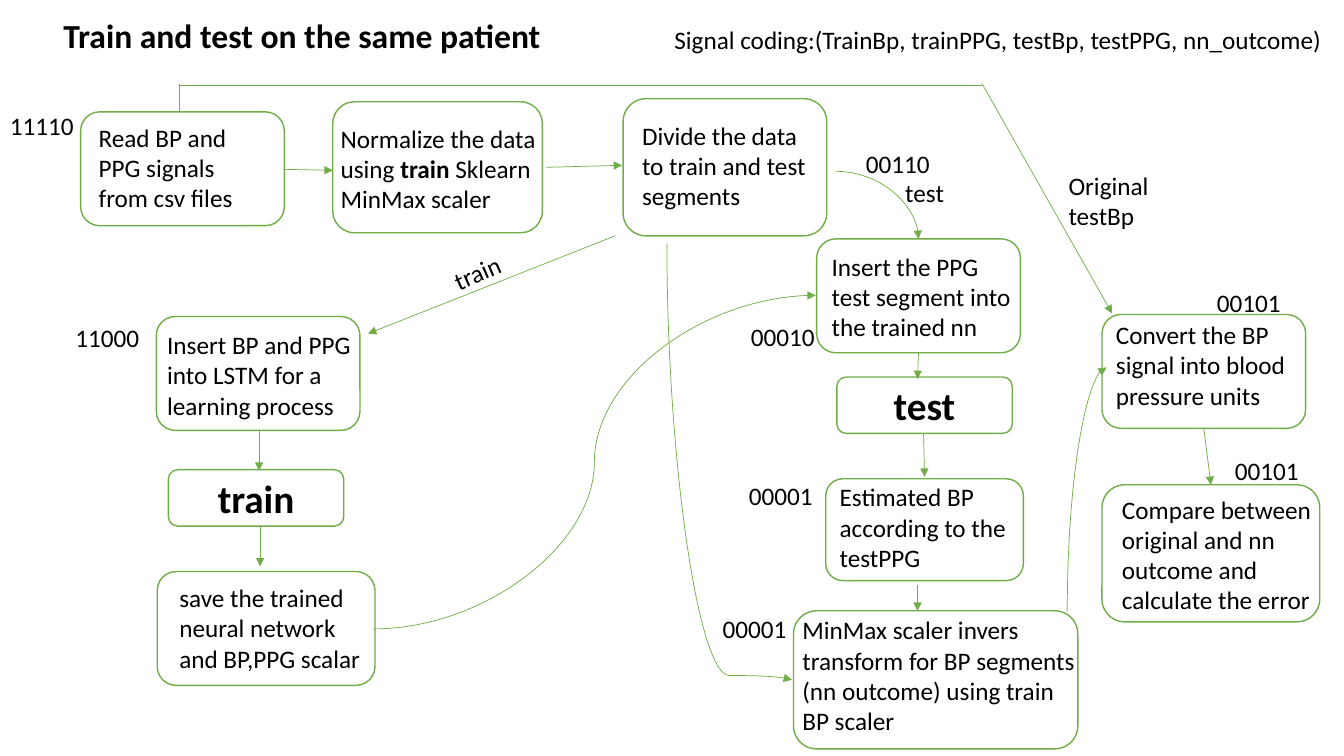
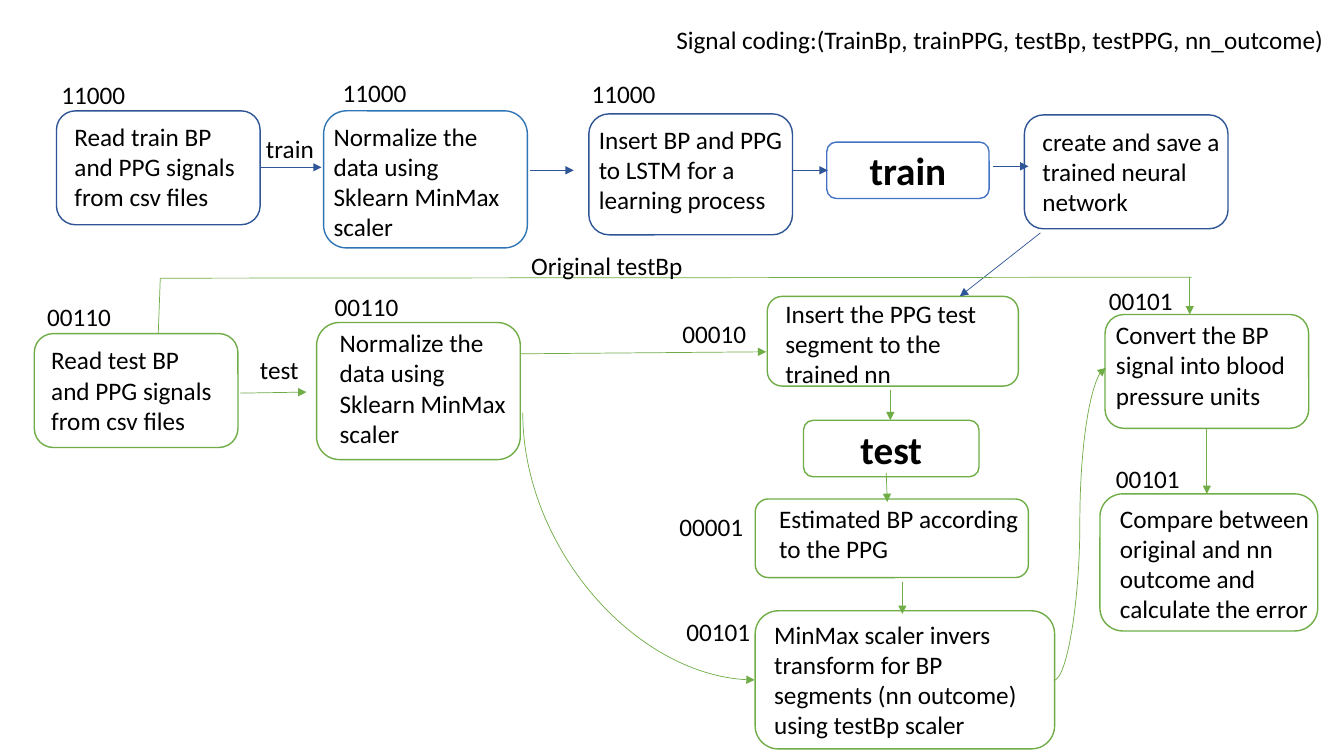
from lxml import etree
from pptx import Presentation
from pptx.dml.color import RGBColor
from pptx.enum.shapes import MSO_CONNECTOR as LINK, MSO_SHAPE
from pptx.enum.text import MSO_ANCHOR, MSO_AUTO_SIZE, PP_ALIGN
from pptx.oxml.ns import qn
from pptx.util import Inches, Pt

GREEN = RGBColor(0x70, 0xAD, 0x47)
NAVY = RGBColor(0x2F, 0x55, 0x97)
BLUE = RGBColor(0x2E, 0x75, 0xB6)
ROYAL = RGBColor(0x44, 0x72, 0xC4)
WHITE = RGBColor(0xFF, 0xFF, 0xFF)
BLACK = RGBColor(0, 0, 0)
FONT = "Calibri"
STEP_W, STEP_H, TALL_H = 2.02, 1.13, 1.36
PHASE_W, PHASE_H = 1.74, 0.56
CODING = "Signal coding:(TrainBp, trainPPG, testBp, testPPG, nn_outcome)"


def add_run(paragraph, text, size=18, bold=False):
    run = paragraph.add_run()
    run.text = text
    run.font.name = FONT
    run.font.size = Pt(size)
    run.font.bold = bold
    run.font.color.rgb = BLACK


def add_label(slide, x, y, w, text, lines=1, size=18, bold=False, wrap=True, turn=0):
    height = 0.1 + lines * size / 59.5
    label = slide.shapes.add_textbox(Inches(x), Inches(y), Inches(w), Inches(height))
    label.rotation = turn
    frame = label.text_frame
    frame.word_wrap = wrap
    frame.auto_size = MSO_AUTO_SIZE.SHAPE_TO_FIT_TEXT
    paragraphs = [text] if isinstance(text, str) else text
    for index, content in enumerate(paragraphs):
        paragraph = frame.add_paragraph() if index else frame.paragraphs[0]
        runs = [(content, bold)] if isinstance(content, str) else content
        for words, strong in runs:
            add_run(paragraph, words, size, strong)


def add_codes(slide, codes):
    for x, y, code in codes:
        add_label(slide, x, y, 0.84, code, wrap=False)


def add_box(slide, x, y, w, h, color):
    box = slide.shapes.add_shape(MSO_SHAPE.ROUNDED_RECTANGLE,
                                 Inches(x), Inches(y), Inches(w), Inches(h))
    box.shadow.inherit = False
    box.fill.solid()
    box.fill.fore_color.rgb = WHITE
    box.line.color.rgb = color
    box.line.width = Pt(1)
    return box


def add_step(slide, x, y, text, text_at, w=STEP_W, h=STEP_H, lines=3, color=GREEN):
    add_box(slide, x, y, w, h, color)
    add_label(slide, *text_at, text, lines)


def add_phase(slide, x, y, text, w=PHASE_W, color=GREEN):
    frame = add_box(slide, x, y, w, PHASE_H, color).text_frame
    frame.vertical_anchor = MSO_ANCHOR.MIDDLE
    frame.paragraphs[0].alignment = PP_ALIGN.CENTER
    add_run(frame.paragraphs[0], text, 28, True)


def add_link(slide, kind, x1, y1, x2, y2, color=GREEN, arrow=True):
    link = slide.shapes.add_connector(kind, Inches(x1), Inches(y1), Inches(x2), Inches(y2))
    link.line.color.rgb = color
    link.line.width = Pt(0.5)
    properties = link._element.spPr
    if arrow:
        etree.SubElement(properties.find(qn("a:ln")), qn("a:tailEnd"), type="triangle")
    etree.SubElement(properties, qn("a:effectLst"))
    return properties


def add_arrows(slide, arrows, color=GREEN):
    for ends in arrows:
        add_link(slide, LINK.STRAIGHT, *ends, color)


def add_lines(slide, lines):
    for ends in lines:
        add_link(slide, LINK.STRAIGHT, *ends, arrow=False)


def add_curve(slide, x, y, w, h, turn=0, flips="", bends=2, middle=None):
    properties = add_link(slide, LINK.CURVE, x, y, x + w, y + h)
    frame = properties.find(qn("a:xfrm"))
    frame.set("rot", str(turn * 60000))
    for axis in flips:
        frame.set("flip" + axis, "1")
    geometry = properties.find(qn("a:prstGeom"))
    geometry.set("prst", f"curvedConnector{bends}")
    if middle is not None:
        etree.SubElement(geometry.find(qn("a:avLst")), qn("a:gd"),
                         name="adj1", fmla=f"val {round(middle * 100000)}")


def add_evaluation(slide, convert_x, compare_x, compare_y):
    add_step(slide, convert_x, 3.12, "Convert the BP signal into blood pressure units",
             (10.97, 3.12, 1.98))
    add_step(slide, compare_x, compare_y,
             "Compare between original and nn outcome and calculate the error",
             (compare_x + 0.1, compare_y + 0.04, 2.17), 2.16, TALL_H, 4)


def build_same_patient(slide):
    add_label(slide, 0.53, 0.1, 5.07, "Train and test on the same patient", size=24, bold=True)
    add_label(slide, 6.59, 0.19, 6.88, CODING)

    add_step(slide, 0.8, 1.11, "Read BP and PPG signals from csv files", (0.88, 1.16, 1.64))
    add_step(slide, 3.3, 1.01,
             [[("Normalize the data using ", False), ("train ", True),
               ("Sklearn MinMax scaler", False)]],
             (3.28, 1.17, 2.15), 2.08, 1.3)
    add_step(slide, 6.18, 0.98, "Divide the data to train and test segments",
             (6.27, 1.14, 1.84), h=TALL_H)
    add_step(slide, 1.55, 3.14, "Insert BP and PPG into LSTM for a learning process",
             (1.56, 3.22, 2.02))
    add_phase(slide, 1.67, 4.66, "train")
    add_step(slide, 1.56, 5.67, "save the trained neural network and BP,PPG scalar",
             (1.68, 5.73, 2.02), 2.16)
    add_step(slide, 8.1, 2.37, "Insert the PPG test segment into the trained nn",
             (8.15, 2.44, 1.98))
    add_phase(slide, 8.3, 3.74, "test")
    add_step(slide, 8.19, 4.75, "Estimated BP according to the testPPG",
             (8.23, 4.73, 1.9), 1.96, 1.01)
    add_step(slide, 7.87, 6.06,
             ["MinMax scaler invers transform for BP segments (nn outcome) using train",
              "BP scaler"],
             (7.86, 6.05, 3.07), 2.82, 1.37, 4)
    add_evaluation(slide, 10.93, 10.93, 4.81)

    add_arrows(slide, [
        (2.82, 1.68, 3.3, 1.69), (5.42, 1.66, 6.17, 1.64), (6.1, 2.34, 3.65, 3.31),
        (2.57, 4.27, 2.57, 4.67), (2.58, 5.22, 2.58, 5.62),
        (9.11, 3.5, 9.1, 3.76), (9.16, 4.3, 9.17, 4.73), (9.1, 5.8, 9.1, 6.06),
        (9.74, 0.83, 11.03, 3.11), (11.94, 4.25, 12.01, 4.81)])
    add_lines(slide, [(1.78, 1.1, 1.78, 0.83), (1.78, 0.85, 9.74, 0.85)])
    add_curve(slide, 8.29, 1.7, 0.82, 0.67)
    add_curve(slide, 9.57, 4.66, 2.42, 0.39, 90, "HV")
    add_curve(slide, 3.7, 2.93, 4.39, 3.31, 0, "V", 3)
    add_curve(slide, 5.07, 3.96, 4.33, 1.24, 270, "H", 3, 0.99)

    add_label(slide, 4.39, 2.47, 0.83, "train", turn=336.5)
    add_label(slide, 8.88, 1.71, 0.71, "test")
    add_label(slide, 10.5, 1.64, 1.17, "Original testBp", 2)
    add_codes(slide, [
        (0, 1.05, "11110"), (0.65, 3.15, "11000"), (8.49, 1.42, "00110"),
        (7.35, 3.14, "00010"), (7.33, 4.72, "00001"), (7.07, 6.04, "00001"),
        (11.97, 2.8, "00101"), (12.15, 4.47, "00101")])


def build_separate_sets(slide):
    add_label(slide, 6.61, 0.19, 6.67, CODING)
    normalize = "Normalize the data using Sklearn MinMax scaler"

    add_step(slide, 0.56, 1.1, "Read train BP and PPG signals from csv files",
             (0.64, 1.15, 1.9), color=NAVY)
    add_step(slide, 3.21, 1.1, normalize, (3.21, 1.15, 2.02), h=TALL_H, lines=4, color=BLUE)
    add_step(slide, 5.84, 1.13, "Insert BP and PPG to LSTM for a learning process",
             (5.84, 1.18, 2.02), h=1.2, color=NAVY)
    add_phase(slide, 8.2, 1.41, "train", 1.61, ROYAL)
    add_step(slide, 10.16, 1.14, "create and save a trained neural network",
             (10.24, 1.2, 2.02), color=NAVY)

    add_step(slide, 0.34, 3.31, "Read test BP and PPG signals from csv files",
             (0.41, 3.37, 1.9))
    add_step(slide, 3.14, 3.2, normalize, (3.27, 3.2, 2.02), h=TALL_H, lines=4)
    add_step(slide, 7.61, 2.94, "Insert the PPG test segment to the trained nn",
             (7.69, 2.91, 2.27), 2.49, 0.89)
    add_phase(slide, 7.97, 4.17, "test")
    add_step(slide, 7.49, 4.95, "Estimated BP according to the PPG",
             (7.63, 4.94, 2.66), 2.71, 0.78, 2)
    add_step(slide, 7.49, 6.06,
             "MinMax scaler invers transform for BP segments (nn outcome) using testBp scaler",
             (7.58, 6.09, 2.74), 2.97, 1.37, 4)
    add_evaluation(slide, 10.96, 10.91, 4.9)

    add_arrows(slide, [
        (2.58, 1.66, 3.19, 1.66), (5.26, 1.69, 5.69, 1.69), (7.87, 1.69, 8.21, 1.69),
        (9.85, 1.65, 10.2, 1.65), (10.32, 2.31, 9.52, 2.94)], NAVY)
    add_arrows(slide, [
        (2.38, 3.9, 3.04, 3.89), (5.17, 3.51, 7.6, 3.49), (8.83, 3.87, 8.83, 4.17),
        (8.79, 4.69, 8.8, 4.98), (8.95, 5.77, 8.95, 6.09),
        (11.8, 2.75, 11.8, 3.12), (11.97, 4.25, 11.97, 4.9)])
    add_lines(slide, [(1.57, 3.31, 1.59, 2.76), (1.59, 2.76, 11.82, 2.75)])
    add_curve(slide, 10.45, 3.65, 0.52, 3.1, 0, "V", 3)
    add_curve(slide, 5.01, 4.27, 2.65, 2.3, 270, "H")

    add_label(slide, 2.54, 1.27, 0.83, "train")
    add_label(slide, 2.48, 3.47, 0.71, "test")
    add_label(slide, 5.17, 2.43, 2.03, "Original testBp")
    add_codes(slide, [
        (0.51, 0.74, "11000"), (3.3, 0.72, "11000"), (5.77, 0.73, "11000"),
        (0.37, 2.94, "00110"), (3.22, 2.84, "00110"), (6.67, 3.11, "00010"),
        (6.64, 5.02, "00001"), (6.71, 6.07, "00101"),
        (10.9, 2.78, "00101"), (10.97, 4.55, "00101")])


def main():
    deck = Presentation()
    deck.slide_width = Inches(13.33)
    deck.slide_height = Inches(7.5)
    for build in (build_same_patient, build_separate_sets):
        build(deck.slides.add_slide(deck.slide_layouts[6]))
    deck.save("out.pptx")


main()
